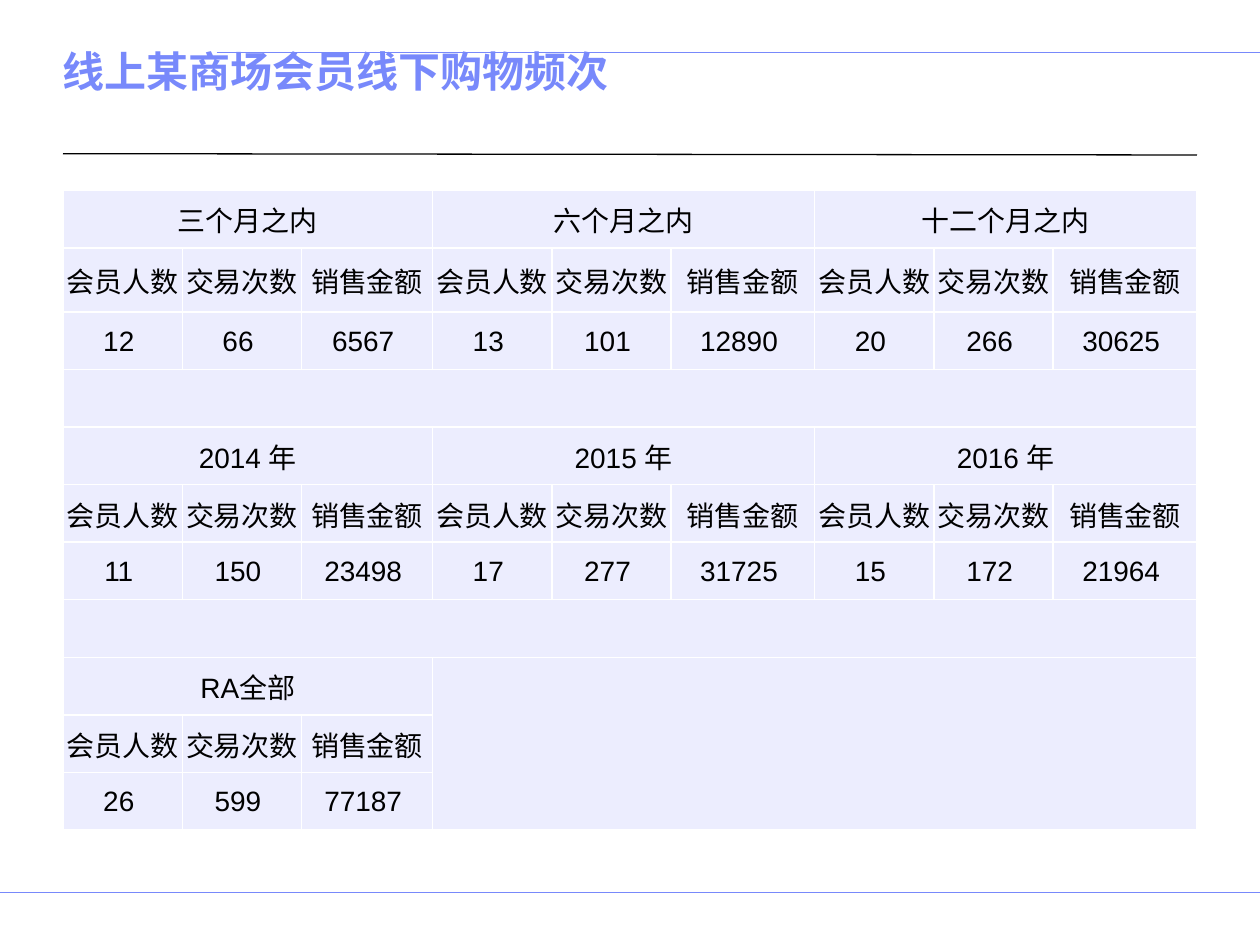
import pptx
import pptx.dml.color
import pptx.enum.shapes
import pptx.enum.text
import pptx.oxml
import pptx.oxml.ns
import pptx.util

Inches = pptx.util.Inches
Pt = pptx.util.Pt
RGBColor = pptx.dml.color.RGBColor

PERIWINKLE = RGBColor(0x78, 0x89, 0xFB)
LAVENDER = RGBColor(0xEC, 0xED, 0xFE)
BLACK = RGBColor(0, 0, 0)
WHITE = RGBColor(255, 255, 255)
FONT = "Arial"

MEASURES = ["会员人数", "交易次数", "销售金额"]
# Each band: group headings, then the figures below the measures
BANDS = [
    (["三个月之内", "六个月之内", "十二个月之内"],
     [12, 66, 6567, 13, 101, 12890, 20, 266, 30625]),
    (["2014 年", "2015 年", "2016 年"],
     [11, 150, 23498, 17, 277, 31725, 15, 172, 21964]),
    (["RA全部"], [26, 599, 77187]),
]
BAND_STEP = 4  # heading, measures, figures, spacer
ROW_COUNT, COLUMN_COUNT = 11, 9


def format_runs(paragraph, size, color, bold=False):
    for run in paragraph.runs:
        run.font.name = FONT
        run.font.size = Pt(size)
        run.font.bold = bold
        run.font.color.rgb = color


def add_rule(slide, start, end, color, width):
    line = slide.shapes.add_connector(
        pptx.enum.shapes.MSO_CONNECTOR.STRAIGHT,
        *(Inches(value) for value in (*start, *end)))
    line.line.color.rgb = color
    line.line.width = Pt(width)
    line._element.spPr.append(pptx.oxml.parse_xml(
        f"<a:effectLst {pptx.oxml.ns.nsdecls('a')}/>"))


def add_rules(slide, width, height):
    add_rule(slide, (1.72, 0.42), (width, 0.42), PERIWINKLE, 0.5)
    add_rule(slide, (0, height - 0.42), (width, height - 0.42), PERIWINKLE, 0.5)
    add_rule(slide, (0.5, 1.22), (width - 0.5, 1.23), BLACK, 0.75)


def add_title(slide, left, top, width, height):
    shape = slide.shapes.add_textbox(
        Inches(left), Inches(top), Inches(width), Inches(height))
    frame = shape.text_frame
    frame.word_wrap = True
    frame.margin_left = frame.margin_right = 0
    frame.vertical_anchor = pptx.enum.text.MSO_ANCHOR.TOP
    frame.text = "线上某商场会员线下购物频次"
    format_runs(frame.paragraphs[0], 24, PERIWINKLE, bold=True)


def style_cell(cell):
    properties = cell._tc.get_or_add_tcPr()
    for side in ("lnL", "lnR", "lnT", "lnB"):
        properties.append(pptx.oxml.parse_xml(
            f'<a:{side} {pptx.oxml.ns.nsdecls("a")} w="{Pt(1)}">'
            f'<a:solidFill><a:srgbClr val="{WHITE}"/></a:solidFill></a:{side}>'))
    cell.fill.solid()
    cell.fill.fore_color.rgb = LAVENDER
    cell.margin_left = cell.margin_top = cell.margin_right = Inches(0.01)
    cell.margin_bottom = 0
    cell.vertical_anchor = pptx.enum.text.MSO_ANCHOR.MIDDLE


def write_cell(cell, text):
    cell.text = text
    paragraph = cell.text_frame.paragraphs[0]
    paragraph.alignment = pptx.enum.text.PP_ALIGN.CENTER
    format_runs(paragraph, 16, BLACK)


def add_frequency_table(slide, left, top, width, height):
    table = slide.shapes.add_table(
        ROW_COUNT, COLUMN_COUNT, Inches(left), Inches(top),
        Inches(width), Inches(height)).table
    table.first_row = table.horz_banding = False

    # Amount columns are wider; the others share the rest
    amount_widths = {2: 1.04, 5: 1.14, 8: 1.14}
    narrow = (width - sum(amount_widths.values())) / 6
    for index, column in enumerate(table.columns):
        column.width = Inches(amount_widths.get(index, narrow))
    measure_height = 0.51
    for index, row in enumerate(table.rows):
        row.height = Inches(measure_height if index == 1 else
                            (height - measure_height) / (ROW_COUNT - 1))
    for cell in table.iter_cells():
        style_cell(cell)

    for band, (headings, figures) in enumerate(BANDS):
        first = band * BAND_STEP
        for group, heading in enumerate(headings):
            start = group * len(MEASURES)
            table.cell(first, start).merge(table.cell(first, start + 2))
            write_cell(table.cell(first, start), heading)
        for index, figure in enumerate(figures):
            write_cell(table.cell(first + 1, index),
                       MEASURES[index % len(MEASURES)])
            write_cell(table.cell(first + 2, index), f"{figure} ")

    # Spacer rows and the empty block beside the last band
    for row in (3, 7):
        table.cell(row, 0).merge(table.cell(row, COLUMN_COUNT - 1))
    table.cell(8, 3).merge(table.cell(ROW_COUNT - 1, COLUMN_COUNT - 1))


def main():
    presentation = pptx.Presentation()
    presentation.slide_width = Inches(10)
    presentation.slide_height = Inches(7.5)
    slide = presentation.slides.add_slide(presentation.slide_layouts[6])
    add_rules(slide, 10, 7.5)
    add_title(slide, 0.5, 0.31, 9, 0.92)
    add_frequency_table(slide, 0.5, 1.51, 9, 5.08)
    presentation.save("out.pptx")


if __name__ == "__main__":
    main()
